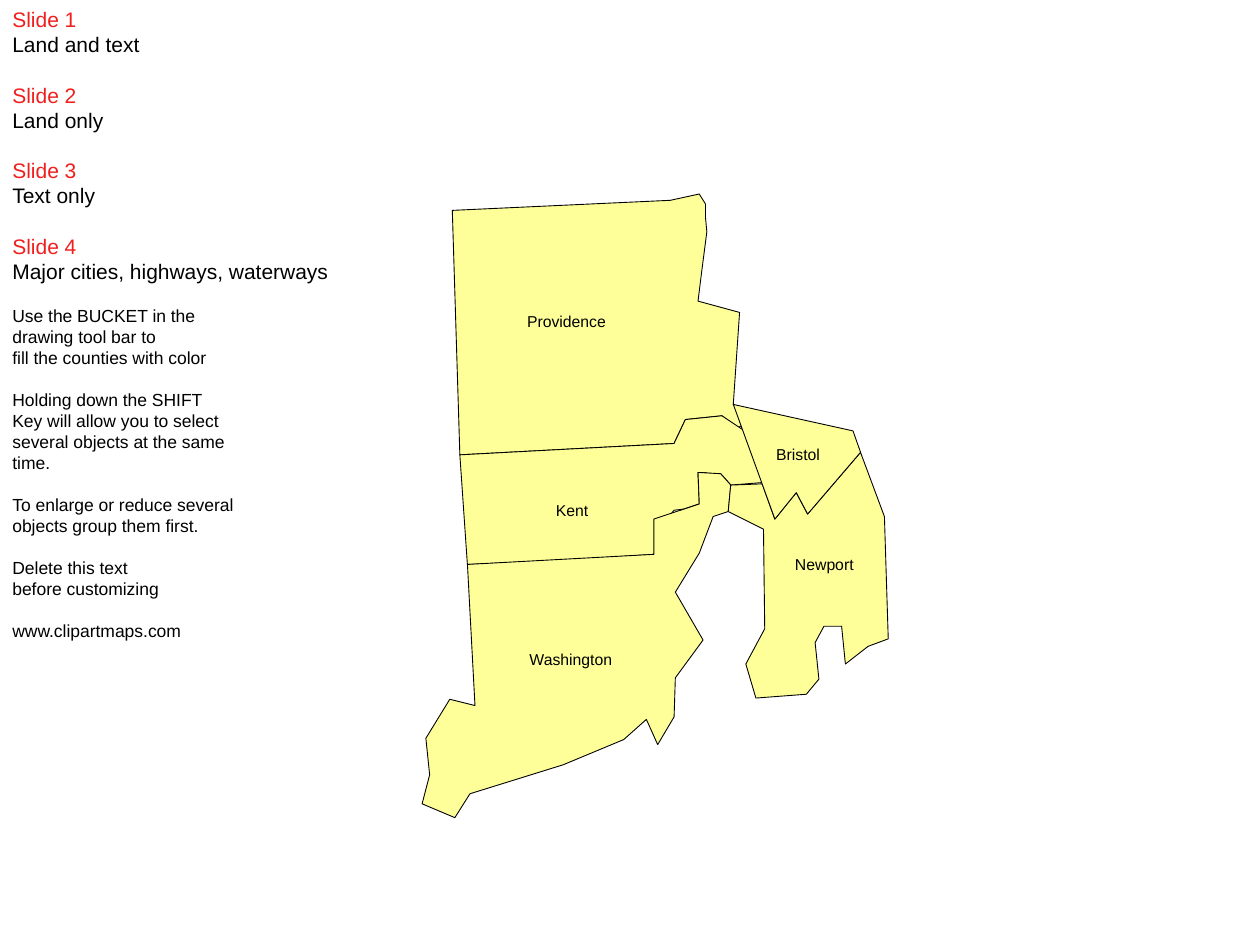
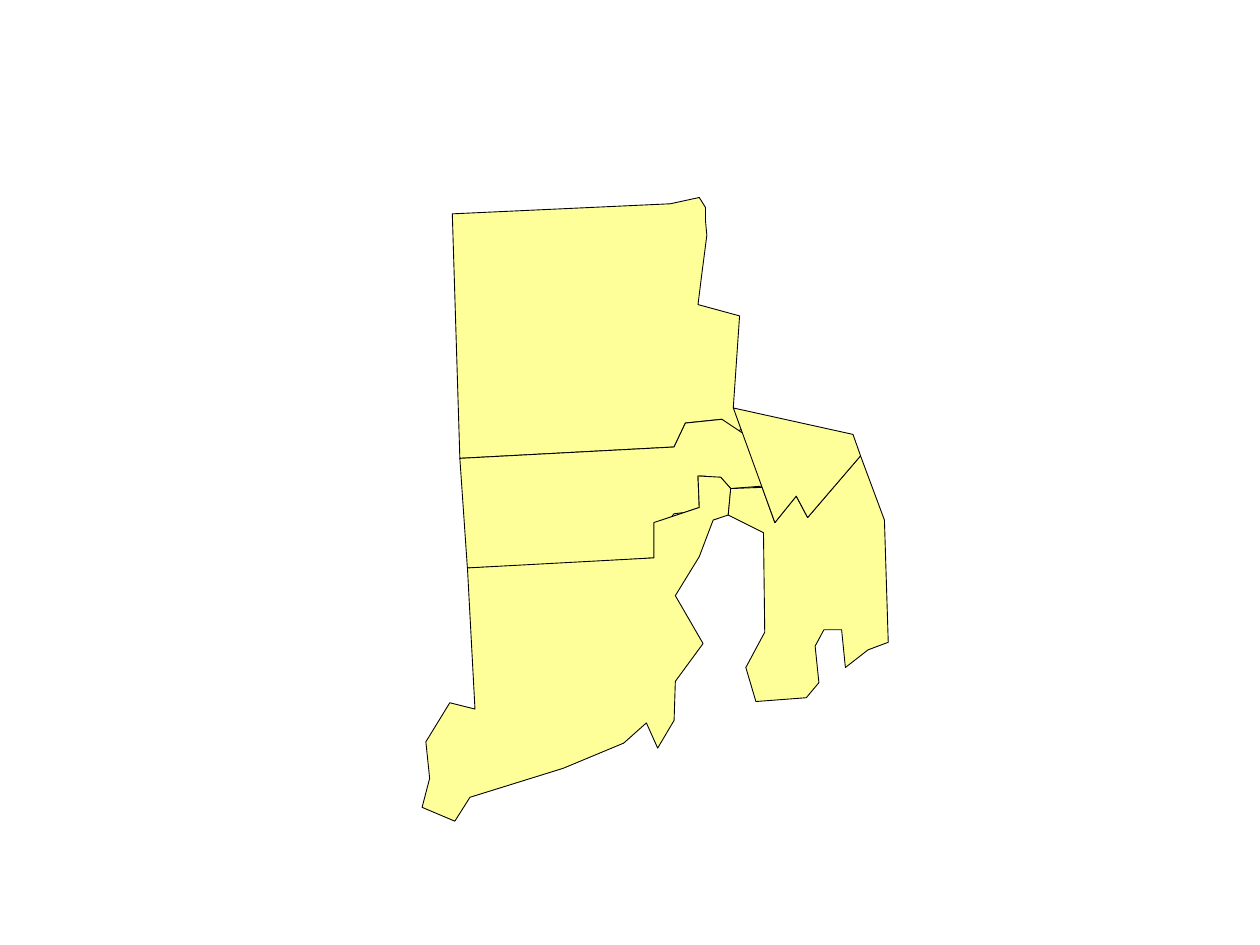
from pptx import Presentation
from pptx.dml.color import RGBColor
from pptx.enum.text import MSO_AUTO_SIZE
from pptx.util import Pt

LAND = RGBColor(0xFF, 0xFF, 0x99)
BLACK = RGBColor(0, 0, 0)
RED = RGBColor(0xEF, 0x1F, 0x1D)
FONT = "Arial"
MAP_UNIT = Pt(0.72)

COUNTY_OUTLINES = [
    [
        (359, 167), (532, 159), (555, 154), (560, 162), (560, 173), (561, 184),
        (557, 215), (554, 239), (587, 248), (582, 321), (593, 335), (585, 340),
        (573, 330), (544, 333), (535, 352), (365, 361),
    ],
    [
        (371, 448), (365, 361), (535, 352), (544, 333), (573, 330), (591, 342),
        (605, 383), (580, 385), (572, 376), (565, 376), (558, 375), (554, 375),
        (555, 400), (543, 404), (535, 405), (530, 411), (522, 416), (521, 419),
        (520, 423), (521, 434), (523, 438), (519, 440), (443, 445),
    ],
    [
        (373, 630), (361, 649), (335, 638), (341, 615), (338, 586), (357, 555),
        (377, 560), (371, 448), (519, 440), (519, 412), (555, 400), (554, 375),
        (572, 376), (580, 385), (578, 406), (566, 410), (555, 439), (536, 470),
        (558, 508), (536, 538), (535, 569), (522, 591), (513, 571), (495, 587),
        (447, 607),
    ],
    [
        (606, 420), (578, 406), (580, 385), (605, 384), (615, 412), (632, 391),
        (641, 408), (683, 359), (702, 410), (705, 507), (689, 513), (671, 527),
        (668, 497), (654, 497), (647, 510), (650, 539), (640, 551), (600, 554),
        (592, 527), (607, 499),
    ],
    [
        (582, 321), (615, 412), (632, 391), (641, 408), (683, 359), (677, 342),
    ],
]

COUNTY_LABELS = [
    ("Bristol", 443.5, 254.4, 25.2),
    ("Kent", 317.7, 286.2, 18.7),
    ("Newport", 454.3, 317, 33.8),
    ("Providence", 301.2, 178.2, 45.4),
    ("Washington", 302.6, 371.2, 47.5),
]

SLIDE_GUIDE = [
    ("Slide 1", "Land and text"),
    ("Slide 2", "Land only"),
    ("Slide 3", "Text only"),
    ("Slide 4", "Major cities, highways, waterways"),
]

INSTRUCTIONS = [
    ("Use the BUCKET in the", "drawing tool bar to", "fill the counties with color"),
    ("Holding down the SHIFT", "Key will allow you to select",
     "several objects at the same", "time."),
    ("To enlarge or reduce several", "objects group them first."),
    ("Delete this text", "before customizing"),
    ("www.clipartmaps.com",),
]


def add_land(slide, top):
    for outline in COUNTY_OUTLINES:
        builder = slide.shapes.build_freeform(*outline[0], scale=MAP_UNIT)
        builder.add_line_segments(outline[1:], close=True)
        shape = builder.convert_to_shape(0, Pt(top))
        shape.shadow.inherit = False
        shape.fill.solid()
        shape.fill.fore_color.rgb = LAND
        shape.line.color.rgb = BLACK
        shape.line.width = Pt(0.5)


def add_text(slide, box, lines, insets=(0, 0)):
    frame = slide.shapes.add_textbox(*map(Pt, box)).text_frame
    side, edge = map(Pt, insets)
    frame_format = {
        "margin_left": side, "margin_right": side,
        "margin_top": edge, "margin_bottom": edge,
        "word_wrap": False, "auto_size": MSO_AUTO_SIZE.SHAPE_TO_FIT_TEXT,
    }
    for attribute, value in frame_format.items():
        setattr(frame, attribute, value)
    for index, (text, size, color, gap) in enumerate(lines):
        paragraph = frame.add_paragraph() if index else frame.paragraphs[0]
        if index and gap:
            paragraph.space_before = Pt(gap)
        run = paragraph.add_run()
        run.text = text
        run.font.name = FONT
        run.font.size = Pt(size)
        run.font.color.rgb = color


def guide_lines():
    lines = []
    for heading, description in SLIDE_GUIDE:
        lines += [(heading, 12, RED, 14.4), (description, 12, BLACK, 0)]
    for block in INSTRUCTIONS:
        lines += [(text, 10, BLACK, 0 if index else 12)
                  for index, text in enumerate(block)]
    return lines


def main():
    presentation = Presentation()
    presentation.slide_width, presentation.slide_height = Pt(720), Pt(540)
    blank = presentation.slide_layouts[6]

    labelled_map = presentation.slides.add_slide(blank)
    add_land(labelled_map, 0)
    for county, left, top, width in COUNTY_LABELS:
        add_text(labelled_map, (left, top, width, 10.8), [(county, 9, BLACK, 0)])
    add_text(labelled_map, (0, 0.2, 194.9, 382), guide_lines(), (7.2, 3.6))

    land_map = presentation.slides.add_slide(blank)
    add_land(land_map, 2)

    presentation.save("out.pptx")


if __name__ == "__main__":
    main()
